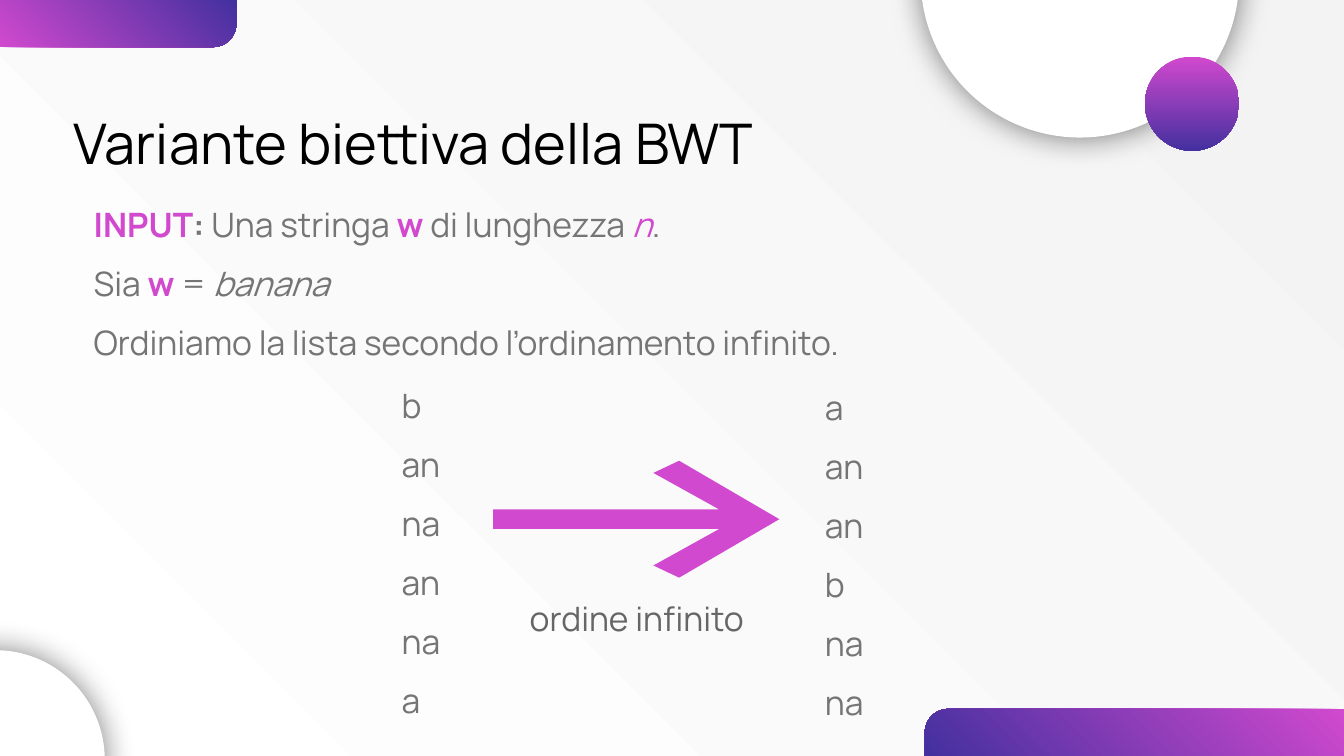
from dataclasses import dataclass

from lxml import etree
from pptx import Presentation
from pptx.dml.color import RGBColor
from pptx.enum.shapes import MSO_SHAPE
from pptx.enum.text import MSO_ANCHOR, PP_ALIGN
from pptx.oxml.ns import qn
from pptx.util import Cm, Pt

OVAL = MSO_SHAPE.OVAL
BAR = MSO_SHAPE.ROUND_1_RECTANGLE
MIDDLE, TOP = MSO_ANCHOR.MIDDLE, MSO_ANCHOR.TOP
LEFT, CENTER = PP_ALIGN.LEFT, PP_ALIGN.CENTER


@dataclass(frozen=True)
class Theme:
    font: str = "Manrope"
    head: int = 30
    body: int = 18
    gap: int = 10
    ink: str = "000000"
    grey: str = "757575"
    dim: str = "666666"
    pink: str = "D149CE"
    blue: str = "43309F"
    white: str = "FFFFFF"
    pale: str = "F3F3F3"


T = Theme()


def rgb(code):
    return RGBColor.from_string(code)


def blend(fill, start, end, angle):
    """Two-stop gradient, angle counted anticlockwise."""
    fill.gradient()
    fill.gradient_angle = angle
    for stop, code in zip(fill.gradient_stops, (start, end)):
        stop.color.rgb = rgb(code)


def shape(slide, kind, box):
    item = slide.shapes.add_shape(kind, *map(Cm, box))
    item.shadow.inherit = False
    item.line.fill.background()
    return item


def text(slide, box, paras, size=T.body, color=T.grey, align=LEFT,
         anchor=TOP, pad=0.13, indent=0.38, gap=T.gap):
    """Each paragraph is a string or a list of (text, format) runs."""
    frame = slide.shapes.add_textbox(*map(Cm, box)).text_frame
    frame.word_wrap = True
    frame.vertical_anchor = anchor
    frame.margin_top = frame.margin_bottom = Cm(pad)
    for i, runs in enumerate(paras):
        para = frame.paragraphs[0] if i == 0 else frame.add_paragraph()
        para.alignment = align
        para.space_before = Pt(gap)
        props = para._p.get_or_add_pPr()
        props.set("marL", str(Cm(indent)))
        props.set("indent", "0")
        for words, form in [(runs, {})] if isinstance(runs, str) else runs:
            run = para.add_run()
            run.text = words
            font = run.font
            font.name, font.size = T.font, Pt(size)
            font.bold = form.get("bold", False)
            font.italic = form.get("italic", False)
            font.color.rgb = rgb(form.get("color", color))


def bar(slide, box, turn=0):
    """Corner bar with one rounded corner, mirrored left to right."""
    item = shape(slide, BAR, box)
    item.adjustments[0] = 0.5
    item.rotation = turn
    item._element.spPr.find(qn("a:xfrm")).set("flipH", "1")
    blend(item.fill, T.pink, T.blue, 315)


def disc(slide, box):
    """White disc with a soft shadow all round."""
    item = shape(slide, OVAL, box)
    item.fill.solid()
    item.fill.fore_color.rgb = rgb(T.white)
    glow = item._element.spPr.find(qn("a:effectLst"))
    shade = etree.SubElement(glow, qn("a:outerShdw"), blurRad=str(Pt(16.9)),
                             dist="0", dir="0", algn="ctr", rotWithShape="0")
    tone = etree.SubElement(shade, qn("a:srgbClr"), val=T.ink)
    etree.SubElement(tone, qn("a:alpha"), val="50000")


def ball(slide, box):
    blend(shape(slide, OVAL, box).fill, T.pink, T.blue, 270)


def arrow(slide, box):
    """Open-headed arrow, its lower half mirrored from the upper."""
    x, y, w, h = box
    upper = [(0.65 * w, 0), (0.56 * w, 0.23), (0.79 * w, 0.92), (0, 0.92)]
    lower = [(px, h - py) for px, py in reversed(upper)]
    dots = [(Cm(x + px), Cm(y + py))
            for px, py in upper + lower + [(w, h / 2)]]
    pen = slide.shapes.build_freeform(*dots[0])
    pen.add_line_segments(dots[1:], close=True)
    item = pen.convert_to_shape()
    item.shadow.inherit = False
    item.line.fill.background()
    item.fill.solid()
    item.fill.fore_color.rgb = rgb(T.pink)


def decor(slide, box):
    x, y, w, h = box
    bar(slide, (x + w - 7.92, y + h - 0.89, 7.92, 0.89))
    bar(slide, (x, y, 4.47, 0.89), turn=180)
    disc(slide, (x - 2.16, y + h - 2, 4.14, 4.14))
    disc(slide, (x + w - 8, y - 3.42, 6.02, 6.02))
    ball(slide, (x + w - 3.76, y + 1.07, 1.78, 1.78))


def intro(slide, box):
    key = {"color": T.pink, "bold": True}
    text(slide, box, [
        [("INPUT", key), (": ", {"bold": True}), ("Una stringa ", {}),
         ("w", key), (" di lunghezza ", {}),
         ("n", {"color": T.pink, "italic": True}), (".", {})],
        [("Sia ", {}), ("w ", key), ("= ", {}), ("banana", {"italic": True})],
        "Ordiniamo la lista secondo l’ordinamento infinito.",
    ])


def sort(slide, box):
    """Factors before and after sorting, with the arrow between."""
    x, y, w, h = box
    col = 1.96
    text(slide, (x, y, col, h), ["b", "an", "na", "an", "na", "a"])
    text(slide, (x + w - col, y + 0.05, col, h),
         ["a", "an", "an", "b", "na", "na"])
    arrow(slide, (x + 2.36, y + 1.57, 5.41, 2.21))
    text(slide, (x + 2.18, y + 3.91, 5.41, 2.72), ["ordine infinito"],
         color=T.dim, align=CENTER, pad=0.25)


def main():
    deck = Presentation()
    deck.slide_width, deck.slide_height = Cm(25.4), Cm(14.29)
    slide = deck.slides.add_slide(deck.slide_layouts[6])
    blend(slide.background.fill, T.white, T.pale, 45)
    decor(slide, (0, 0, 25.4, 14.29))
    text(slide, (1.14, 2.03, 21.44, 1.32), ["Variante biettiva della BWT"],
         size=T.head, color=T.ink, anchor=MIDDLE, pad=0.25, indent=0, gap=0)
    intro(slide, (1.14, 3.73, 22.17, 3.28))
    sort(slide, (6.96, 7.14, 9.96, 6.65))
    deck.save("out.pptx")


if __name__ == "__main__":
    main()
